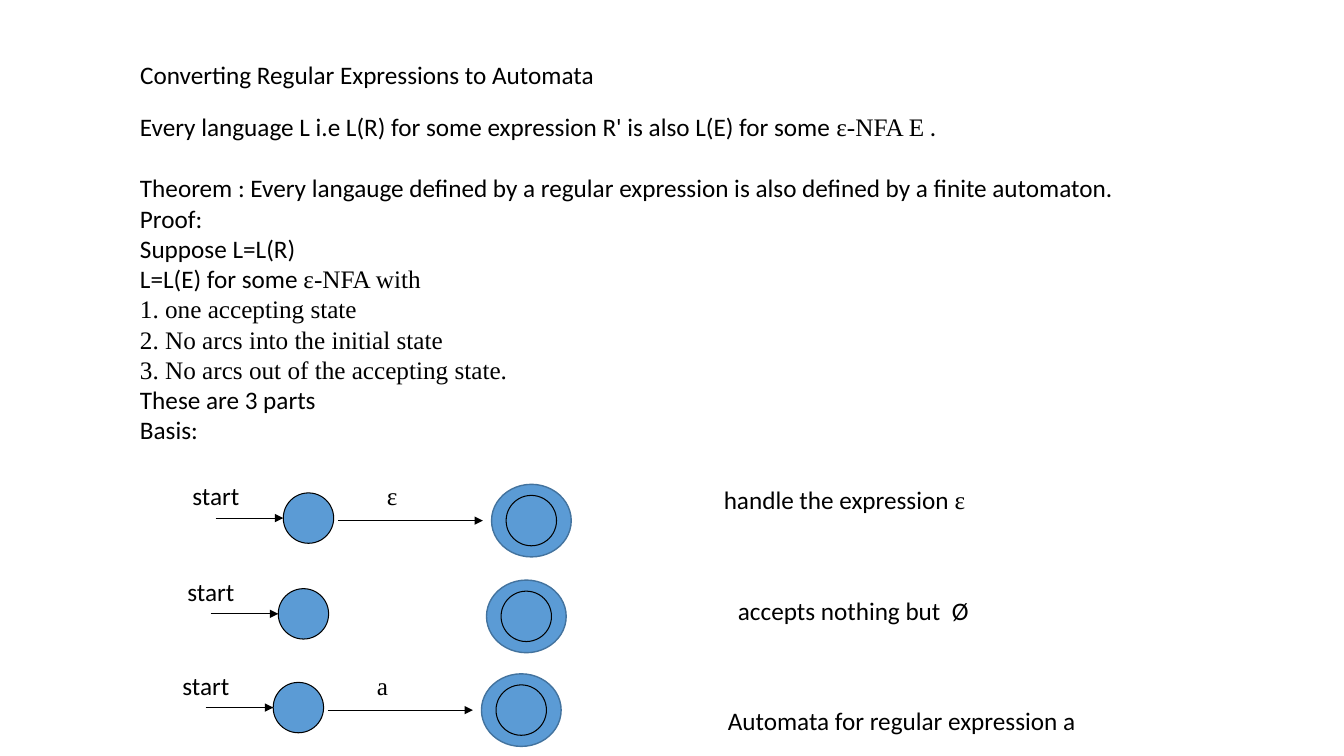
"""Build the slide on converting regular expressions to automata."""
from lxml.etree import SubElement
from pptx import Presentation
from pptx.dml.color import RGBColor
from pptx.enum.shapes import MSO_CONNECTOR as Connector, MSO_SHAPE as Preset
from pptx.enum.text import MSO_ANCHOR as Anchor, MSO_AUTO_SIZE as AutoSize, PP_ALIGN as Align
from pptx.oxml.ns import qn
from pptx.util import Inches, Pt

SANS, SERIF = "Calibri", "Times New Roman"
BLACK, BLUE, DARK_BLUE = "000000", "5B9BD5", "43739E"
TITLE = [[("Converting Regular Expressions to Automata", SANS)]]
PROOF = [
    [("Every language L i.e L(R) for some expression R' is also L(E) for some ", SANS),
     ("ε-NFA E", SERIF), (" .", SANS)],
    [("Theorem : Every langauge defined by a regular expression is also defined by a finite automaton.", SANS)],
    [("Proof:", SANS)],
    [("Suppose L=L(R)", SANS)],
    [("L=L(E) for some ", SANS), ("ε-NFA with", SERIF)],
    [("1. one accepting state", SERIF)],
    [("2. No arcs into the initial state", SERIF)],
    [("3. No arcs out of the accepting state.", SERIF)],
    [("These are 3 parts", SANS)],
    [("Basis:", SANS)],
]
THEOREM = 1
AUTOMATA = [
    {"symbol": "ε", "axis": 5.14, "caption": [("handle the expression ", SANS), ("ε", SERIF)], "place": (7.08, 4.76)},
    {"symbol": "", "axis": 6.09, "caption": [("accepts nothing but  Ø", SANS)], "place": (7.22, 5.86)},
    {"symbol": "a", "axis": 7.02, "caption": [("Automata for regular expression a", SANS)], "place": (7.12, 6.95)},
]
FIRST_LEFT, ROW_SHIFT = 2.14, -0.05
STATE, RING_WIDTH, RING_HEIGHT = 0.5, 0.79, 0.72
START_LENGTH, ARC_LENGTH, LINE_HEIGHT = 0.67, 1.44, 0.4


def color(hex_string):
    return RGBColor.from_string(hex_string)


def write(frame, paragraphs, size=18, wrap=True, gap_before=None):
    frame.word_wrap = wrap
    frame.auto_size = AutoSize.NONE
    frame.vertical_anchor = Anchor.TOP
    for index, runs in enumerate(paragraphs):
        paragraph = frame.paragraphs[0] if index == 0 else frame.add_paragraph()
        paragraph.alignment = Align.LEFT
        if index == gap_before:
            paragraph.space_before = Pt(size * 1.22)
        for text, font_name in runs:
            run = paragraph.add_run()
            run.text = text
            run.font.name = font_name
            run.font.size = Pt(size)
            run.font.color.rgb = color(BLACK)


def add_text(slide, left, top, width, height, paragraphs, **options):
    box = slide.shapes.add_textbox(*map(Inches, (left, top, width, height)))
    write(box.text_frame, paragraphs, **options)


def add_ellipse(slide, center_x, center_y, width, height, line=BLACK, weight=0.75):
    bounds = (center_x - width / 2, center_y - height / 2, width, height)
    shape = slide.shapes.add_shape(Preset.OVAL, *map(Inches, bounds))
    shape.shadow.inherit = False
    shape.fill.solid()
    shape.fill.fore_color.rgb = color(BLUE)
    shape.line.color.rgb = color(line)
    shape.line.width = Pt(weight)


def add_arrow(slide, left, y, length):
    ends = (left, y, left + length, y)
    arrow = slide.shapes.add_connector(Connector.STRAIGHT, *map(Inches, ends))
    arrow.line.color.rgb = color(BLACK)
    arrow.line.width = Pt(0.75)
    SubElement(arrow.line._get_or_add_ln(), qn("a:tailEnd"), type="triangle")
    SubElement(arrow._element.spPr, qn("a:effectLst"))


def add_automaton(slide, left, axis, symbol, caption, place):
    label_top = axis - 0.42
    lower_axis = axis + 0.025
    accepting_x = left + 3.13
    add_arrow(slide, left, axis, START_LENGTH)
    add_ellipse(slide, left + START_LENGTH + STATE / 2, axis, STATE, STATE)
    add_text(slide, left - 0.33, label_top, 0.67, LINE_HEIGHT, [[("start", SANS)]], wrap=False)
    add_ellipse(slide, accepting_x, lower_axis, RING_WIDTH, RING_HEIGHT, line=DARK_BLUE, weight=1)
    add_ellipse(slide, accepting_x, lower_axis, STATE, STATE)
    if symbol:
        add_arrow(slide, left + 1.21, lower_axis, ARC_LENGTH)
        add_text(slide, left + 1.6, label_top, 0.3, LINE_HEIGHT, [[(symbol, SERIF)]], wrap=False)
    add_text(slide, *place, 4.49, LINE_HEIGHT, [caption])


def main():
    presentation = Presentation()
    presentation.slide_width, presentation.slide_height = Inches(13.33), Inches(7.5)
    slide = presentation.slides.add_slide(presentation.slide_layouts[5])
    title = slide.shapes.title
    title.left, title.top, title.width, title.height = map(Inches, (1.29, 0.54, 11.18, LINE_HEIGHT))
    write(title.text_frame, TITLE)
    add_text(slide, 1.29, 1.06, 10.94, 3.73, PROOF, gap_before=THEOREM)
    for row, automaton in enumerate(AUTOMATA):
        add_automaton(slide, FIRST_LEFT + row * ROW_SHIFT, **automaton)
    presentation.save("out.pptx")


if __name__ == "__main__":
    main()
